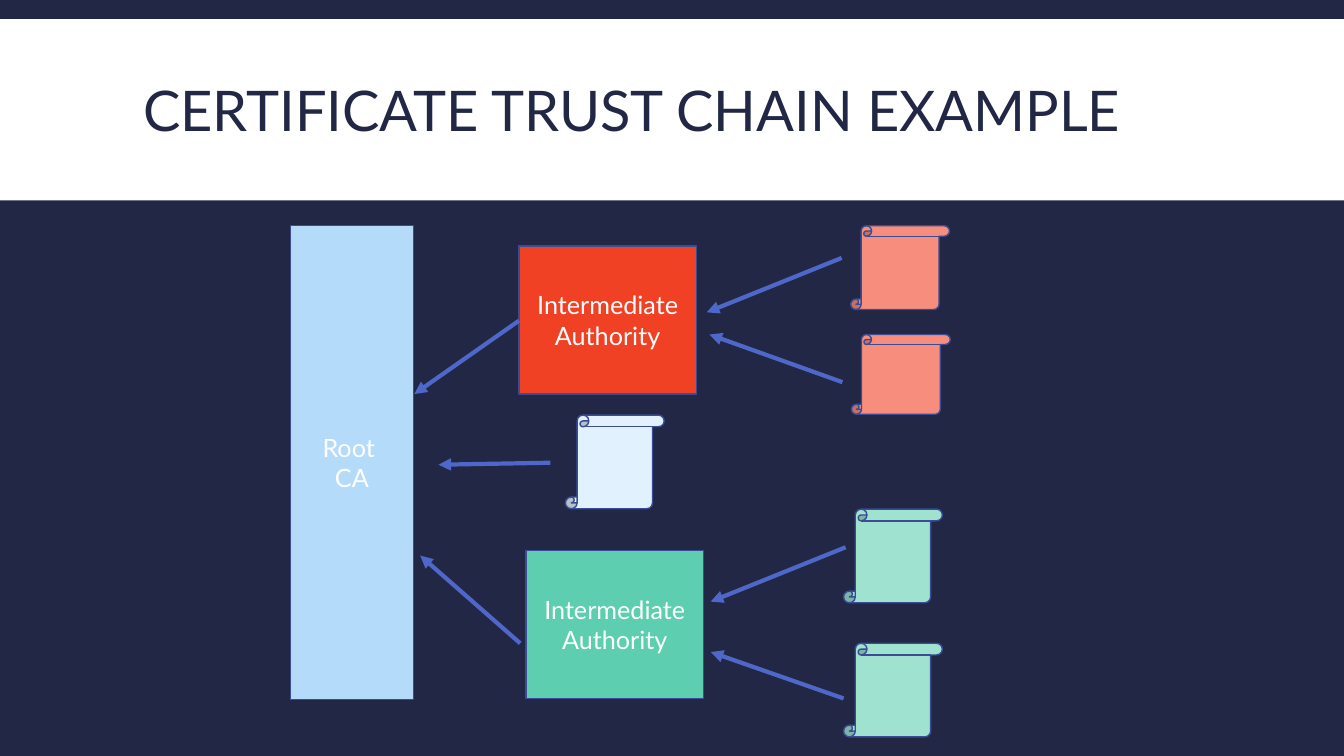
"""Build the certificate trust chain slide."""
from pptx import Presentation, util as u
from pptx.dml.color import RGBColor
from pptx.enum import shapes, text
from pptx.oxml import parse_xml
from pptx.oxml.ns import nsdecls, qn

NAVY = RGBColor(0x21, 0x27, 0x45)
WHITE = RGBColor(0xFF, 0xFF, 0xFF)
EDGE = RGBColor(0x3A, 0x4C, 0x94)
BLUE = RGBColor(0x4E, 0x67, 0xC8)
SKY = RGBColor(0xB4, 0xDC, 0xFA)
ICE = RGBColor(0xE1, 0xF1, 0xFD)
RED = RGBColor(0xF1, 0x41, 0x24)
ROSE = RGBColor(0xF7, 0x8D, 0x7C)
GREEN = RGBColor(0x5D, 0xCE, 0xAF)
MINT = RGBColor(0x9E, 0xE2, 0xCF)
KIND = shapes.MSO_SHAPE


def draw(kind, box, fill):
    shape = slide.shapes.add_shape(kind, *map(u.Cm, box))
    shape.shadow.inherit = False
    shape.fill.solid()
    shape.fill.fore_color.rgb = fill
    shape.line.color.rgb = EDGE
    shape.line.width = u.Pt(1)
    return shape


def write(para, words, size, color):
    run = para.add_run()
    run.text = words
    run.font.name = "Lato"
    run.font.size = u.Pt(size)
    run.font.color.rgb = color


deck = Presentation()
deck.slide_width, deck.slide_height = u.Cm(33.87), u.Cm(19.05)
slide = deck.slides.add_slide(deck.slide_layouts[5])
slide.background.fill.solid()
slide.background.fill.fore_color.rgb = NAVY

title = slide.shapes.title
band = draw(KIND.RECTANGLE, (0, 0.48, 33.87, 4.57), WHITE)
band.line.fill.background()
title._element.addprevious(band._element)
title.left, title.top, title.width, title.height = map(u.Cm, (3.35, 0.79, 27.18, 4.19))
title.text_frame.vertical_anchor = text.MSO_ANCHOR.MIDDLE
para = title.text_frame.paragraphs[0]
para.alignment = text.PP_ALIGN.LEFT
para.line_spacing = 0.85
write(para, "CERTIFICATE TRUST CHAIN EXAMPLE", 40, NAVY)

root = draw(KIND.FLOWCHART_PROCESS, (7.32, 5.69, 3.1, 11.94), SKY)
frame = root.text_frame
for para, words in ((frame.paragraphs[0], "Root "), (frame.add_paragraph(), "CA")):
    para.alignment = text.PP_ALIGN.CENTER
    write(para, words, 18, WHITE)

for left, top, fill in ((13.08, 6.2, RED), (13.26, 13.87, GREEN)):
    middle = draw(KIND.RECTANGLE, (left, top, 4.47, 3.73), fill)
    para = middle.text_frame.paragraphs[0]
    para.alignment = text.PP_ALIGN.CENTER
    write(para, "Intermediate", 18, WHITE)
    para.add_line_break()
    write(para, "Authority", 18, WHITE)

for left, top, height, fill in (
    (14.25, 10.46, 2.36, ICE),
    (21.44, 5.69, 2.11, ROSE),
    (21.46, 8.43, 2.01, ROSE),
    (21.26, 12.83, 2.36, MINT),
    (21.26, 16.21, 2.36, MINT),
):
    draw(KIND.VERTICAL_SCROLL, (left, top, 2.49, height), fill)

for ends in (
    (21.21, 6.5, 17.81, 7.87),
    (13.87, 11.66, 11.05, 11.71),
    (13.08, 8.08, 10.44, 9.93),
    (13.11, 16.21, 10.59, 14),
    (21.23, 9.63, 17.88, 8.43),
    (21.26, 17.6, 17.91, 16.43),
    (21.31, 13.79, 17.91, 15.16),
):
    arrow = slide.shapes.add_connector(shapes.MSO_CONNECTOR.STRAIGHT, *map(u.Cm, ends))
    arrow.line.color.rgb = BLUE
    arrow.line.width = u.Pt(3)
    props = arrow._element.spPr
    props.find(qn("a:ln")).append(parse_xml(f'<a:tailEnd {nsdecls("a")} type="triangle"/>'))
    props.append(parse_xml(f'<a:effectLst {nsdecls("a")}/>'))

deck.save("out.pptx")
